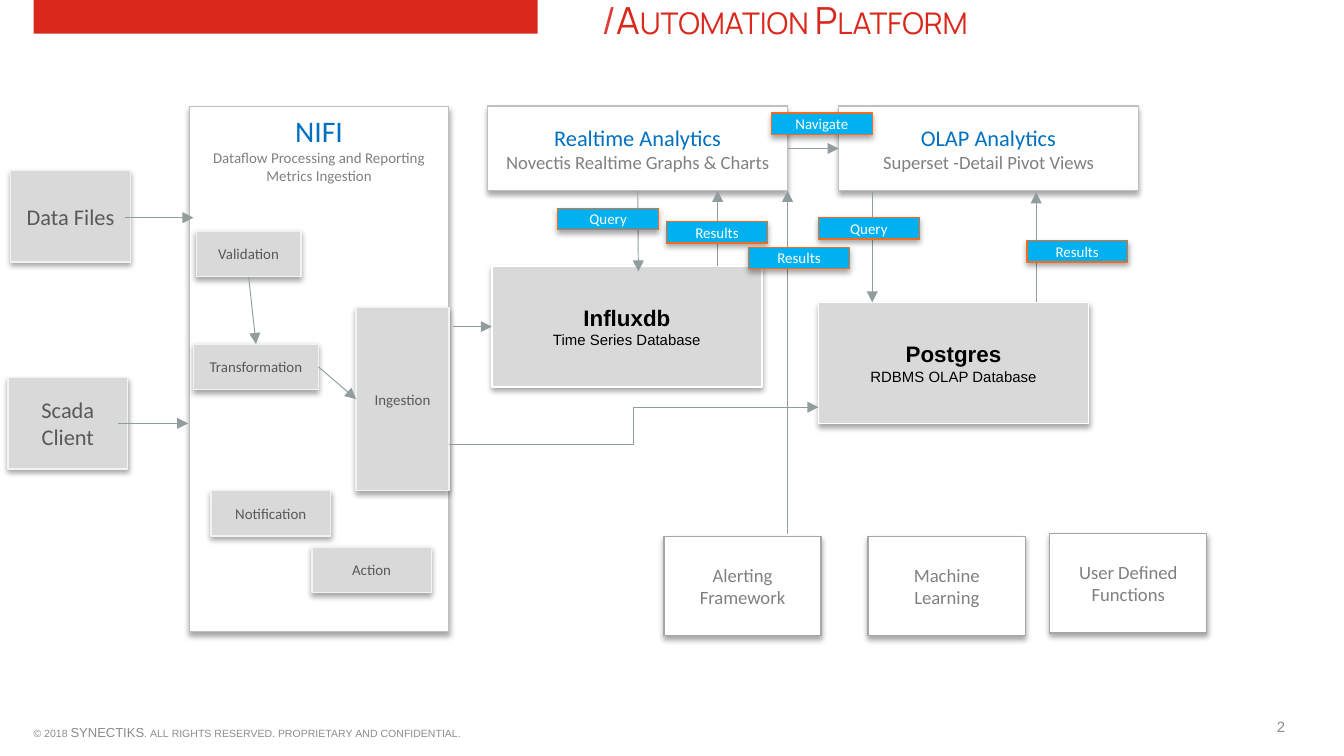
from dataclasses import dataclass

from lxml.etree import SubElement
from pptx import Presentation
from pptx.dml.color import RGBColor
from pptx.enum.shapes import MSO_CONNECTOR, MSO_SHAPE
from pptx.enum.text import MSO_ANCHOR, MSO_AUTO_SIZE, PP_ALIGN
from pptx.oxml.ns import qn
from pptx.util import Inches, Pt


@dataclass(frozen=True)
class Theme:
    red: str = "DA291C"
    slash: str = "E23936"
    blue: str = "0070C0"
    cyan: str = "00B0F0"
    orange: str = "F36C1B"
    white: str = "FFFFFF"
    black: str = "000000"
    gray: str = "D9D9D9"
    pale: str = "F2F2F2"
    border: str = "BFBFBF"
    edge: str = "A6A6A6"
    arrow: str = "919D9D"
    dark: str = "595959"
    muted: str = "808080"
    footer: str = "8C8C8C"
    body: str = "Calibri"
    plain: str = "Arial"
    display: str = "Manrope"
    title: int = 20
    panel: int = 16
    heading: int = 12
    label: int = 10
    small: int = 8
    legal: int = 7


theme = Theme()
prs = Presentation()
prs.slide_width = Inches(10)
prs.slide_height = Inches(10 * 9 / 16)
slide = prs.slides.add_slide(prs.slide_layouts[6])
shapes = slide.shapes


def style_run(run, size, color, font=theme.body, bold=False):
    run.font.size = Pt(size)
    run.font.name = font
    run.font.bold = bold
    run.font.color.rgb = RGBColor.from_string(color)


def add_box(place, fill, line, paragraphs):
    """Add a shadowed rectangle; each paragraph is (text, size, color, font, bold)."""
    box = shapes.add_shape(MSO_SHAPE.RECTANGLE, *map(Inches, place))
    box.fill.solid()
    box.fill.fore_color.rgb = RGBColor.from_string(fill)
    box.line.color.rgb = RGBColor.from_string(line)
    box.line.width = Pt(0.75)
    box.shadow.inherit = False
    effects = box._element.spPr.find(qn("a:effectLst"))
    shadow = SubElement(effects, qn("a:outerShdw"), blurRad=str(Pt(3.1)),
                        dist=str(Pt(1.8)), dir="5400000", rotWithShape="0")
    tint = SubElement(shadow, qn("a:srgbClr"), val=theme.black)
    SubElement(tint, qn("a:alpha"), val="35000")
    frame = box.text_frame
    frame.word_wrap = True
    frame.vertical_anchor = MSO_ANCHOR.MIDDLE
    frame.text = "\n".join(text for text, *_ in paragraphs)
    for paragraph, (_, *look) in zip(frame.paragraphs, paragraphs):
        paragraph.alignment = PP_ALIGN.CENTER
        style_run(paragraph.runs[0], *look)
    return box


# Red band
band = shapes.add_shape(MSO_SHAPE.RECTANGLE, Inches(0.25), 0, Inches(3.75), Inches(0.25))
band.fill.solid()
band.fill.fore_color.rgb = RGBColor.from_string(theme.red)
band.line.fill.background()
band.shadow.inherit = False

# Footer and slide number
for text, place, size in [
    ("© 2018 SYNECTIKS. all rights reserved. proprietary and confidential.",
     (0.25, 5.32, 4.75, 0.25), theme.legal),
    ("2", (9.5, 5.28, 0.25, 0.25), theme.small),
]:
    frame = shapes.add_textbox(*map(Inches, place)).text_frame
    frame.word_wrap = True
    frame.vertical_anchor = MSO_ANCHOR.MIDDLE
    frame.margin_left = frame.margin_right = frame.margin_top = frame.margin_bottom = 0
    frame.text = text
    run = frame.paragraphs[0].runs[0]
    style_run(run, size, theme.footer, theme.plain)
    if size == theme.legal:
        run.font._element.set("cap", "small")

# Title
frame = shapes.add_textbox(Inches(3.98), Inches(-0.07), Inches(3.32), Inches(0.44)).text_frame
frame.word_wrap = True
frame.auto_size = MSO_AUTO_SIZE.SHAPE_TO_FIT_TEXT
heading = frame.paragraphs[0]
heading.alignment = PP_ALIGN.RIGHT
for text, color in [("/", theme.slash), ("Automation Platform", theme.red)]:
    run = heading.add_run()
    run.text = text
    style_run(run, theme.title, color, theme.display)
run.font._element.set("cap", "small")

# Dataflow panel
panel = add_box((1.41, 0.79, 1.93, 3.91), theme.white, theme.border, [
    ("NIFI", theme.panel, theme.blue),
    ("Dataflow Processing and Reporting Metrics Ingestion", theme.small, theme.muted),
])
panel.text_frame.vertical_anchor = MSO_ANCHOR.TOP

nodes = {}

# Databases
for name, detail, left, top in [
    ("Influxdb", "Time Series Database", 3.66, 1.98),
    ("Postgres", "RDBMS OLAP Database", 6.09, 2.25),
]:
    nodes[name] = add_box((left, top, 2.01, 0.9), theme.gray, theme.white, [
        (name, theme.heading, theme.black, theme.plain, True),
        (detail, theme.small, theme.black, theme.plain),
    ])

# Analytics front ends
for name, detail, left in [
    ("Realtime Analytics", "Novectis Realtime Graphs & Charts", 3.63),
    ("OLAP Analytics", "Superset -Detail Pivot Views", 6.24),
]:
    nodes[name] = add_box((left, 0.79, 2.23, 0.63), theme.white, theme.border, [
        (name, theme.heading, theme.blue),
        (detail, theme.label, theme.muted),
    ])

# Data sources and processing steps
for name, place, size in [
    ("Data Files", (0.08, 1.27, 0.89, 0.68), theme.heading),
    ("Scada Client", (0.06, 2.81, 0.89, 0.68), theme.heading),
    ("Validation", (1.46, 1.72, 0.78, 0.34), theme.small),
    ("Transformation", (1.44, 2.56, 0.93, 0.34), theme.small),
    ("Ingestion", (2.65, 2.29, 0.69, 1.36), theme.small),
    ("Notification", (1.57, 3.65, 0.89, 0.34), theme.small),
    ("Action", (2.32, 4.07, 0.89, 0.34), theme.small),
]:
    nodes[name] = add_box(place, theme.gray, theme.pale, [(name, size, theme.dark)])

# Supporting services
for name, left, top in [
    ("Alerting Framework", 4.94, 3.99),
    ("Machine Learning", 6.46, 3.99),
    ("User Defined Functions", 7.81, 3.97),
]:
    add_box((left, top, 1.17, 0.74), theme.white, theme.edge,
            [(name, theme.label, theme.muted)])

# Arrows: start, end, and the (node, side) each end is joined to
for start, end, source, target in [
    ((0.93, 1.62), (1.44, 1.62), None, None),
    ((0.88, 3.15), (1.4, 3.15), None, None),
    ((3.37, 2.43), (3.66, 2.43), None, ("Influxdb", 1)),
    ((3.34, 3.31), (6.09, 3.03), None, None),
    ((4.75, 1.42), (4.75, 2.02), ("Realtime Analytics", 2), None),
    ((5.34, 1.98), (5.34, 1.42), None, None),
    ((6.49, 1.43), (6.49, 2.25), None, None),
    ((7.71, 2.25), (7.71, 1.43), None, None),
    ((5.86, 3.97), (5.86, 1.42), None, None),
    ((1.85, 2.06), (1.91, 2.56), ("Validation", 2), ("Transformation", 0)),
    ((2.37, 2.73), (2.65, 2.97), ("Transformation", 3), ("Ingestion", 1)),
    ((5.86, 1.1), (6.24, 1.1), ("Realtime Analytics", 3), ("OLAP Analytics", 1)),
]:
    bent = source is None and target is None and start[0] != end[0] and start[1] != end[1]
    route = MSO_CONNECTOR.ELBOW if bent else MSO_CONNECTOR.STRAIGHT
    arrow = shapes.add_connector(route, *map(Inches, start + end))
    if source:
        arrow.begin_connect(nodes[source[0]], source[1])
    if target:
        arrow.end_connect(nodes[target[0]], target[1])
    arrow.line.color.rgb = RGBColor.from_string(theme.arrow)
    arrow.line.width = Pt(0.5)
    SubElement(arrow.line._get_or_add_ln(), qn("a:tailEnd"), type="triangle")
    SubElement(arrow._element.spPr, qn("a:effectLst"))

# Arrow tags
for name, left, top in [
    ("Query", 4.15, 1.55),
    ("Results", 4.96, 1.65),
    ("Query", 6.09, 1.62),
    ("Results", 7.64, 1.79),
    ("Results", 5.57, 1.84),
    ("Navigate", 5.74, 0.84),
]:
    add_box((left, top, 0.75, 0.16), theme.cyan, theme.orange,
            [(name, theme.small, theme.white)])

prs.save("out.pptx")
